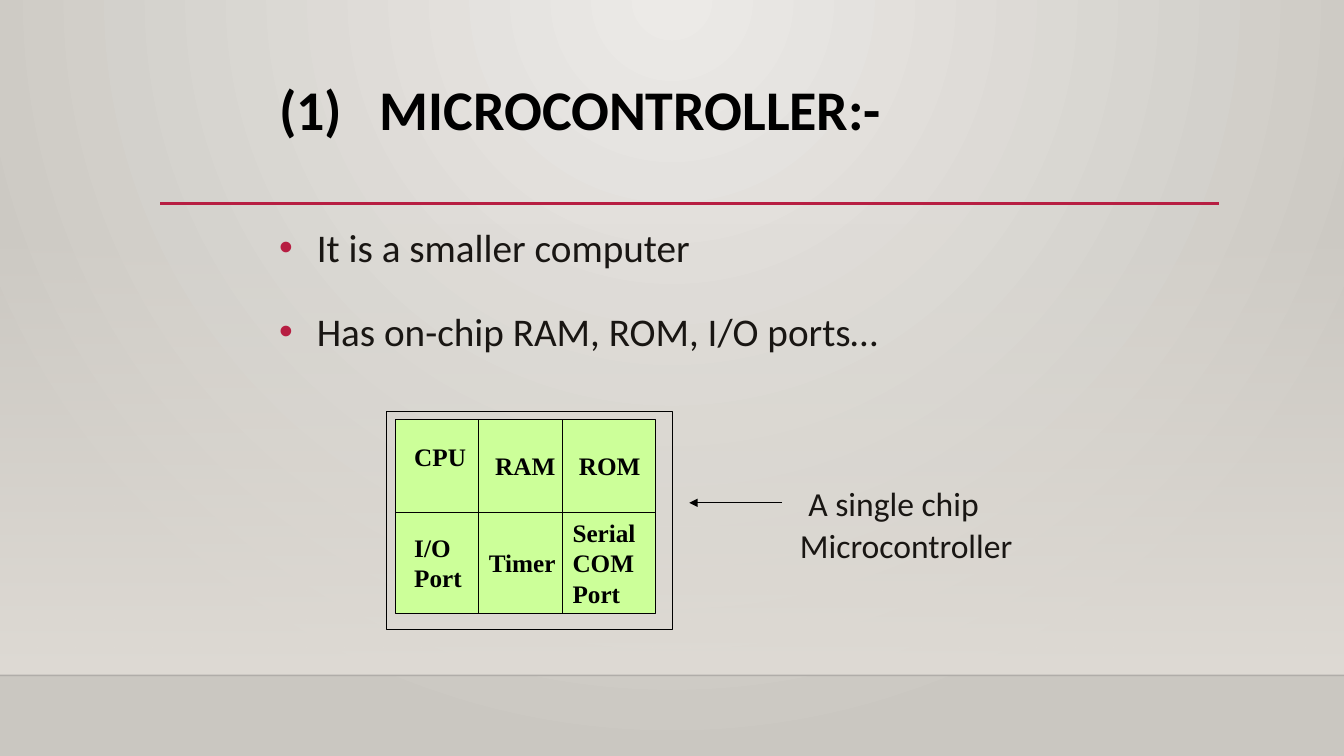
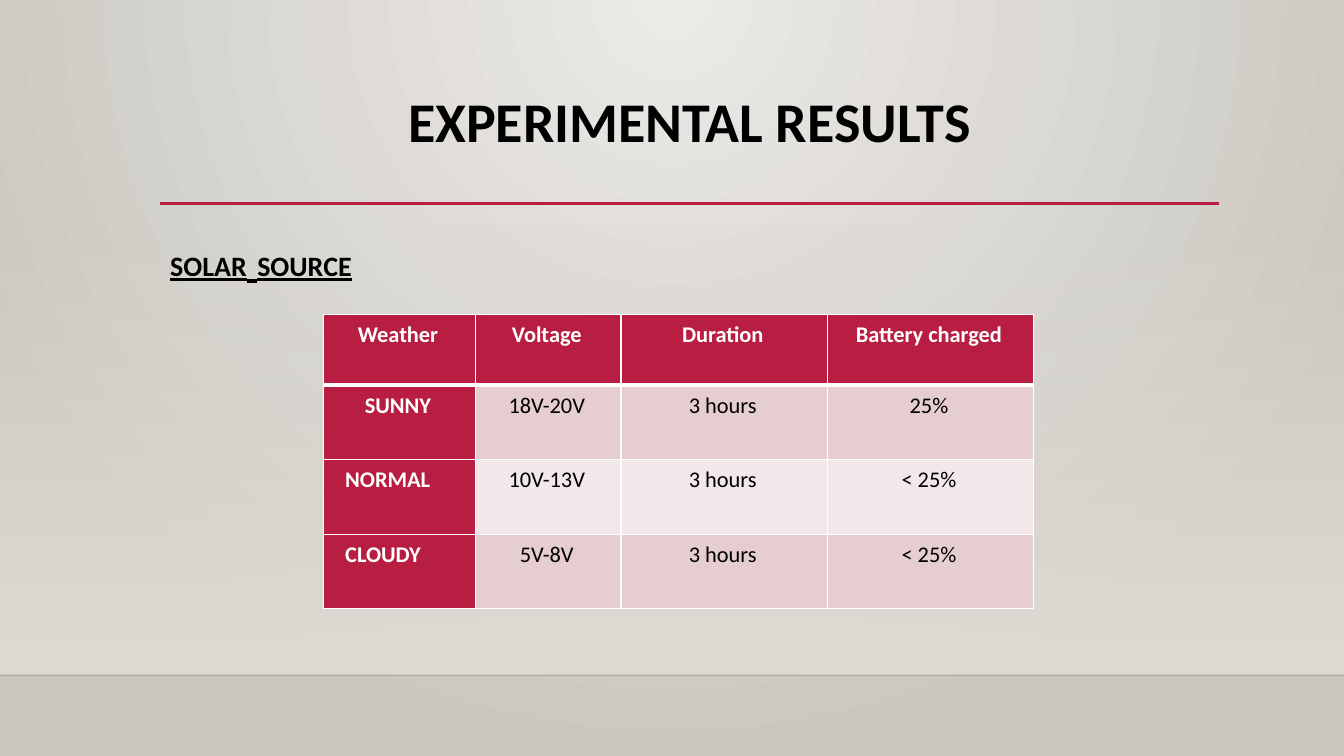
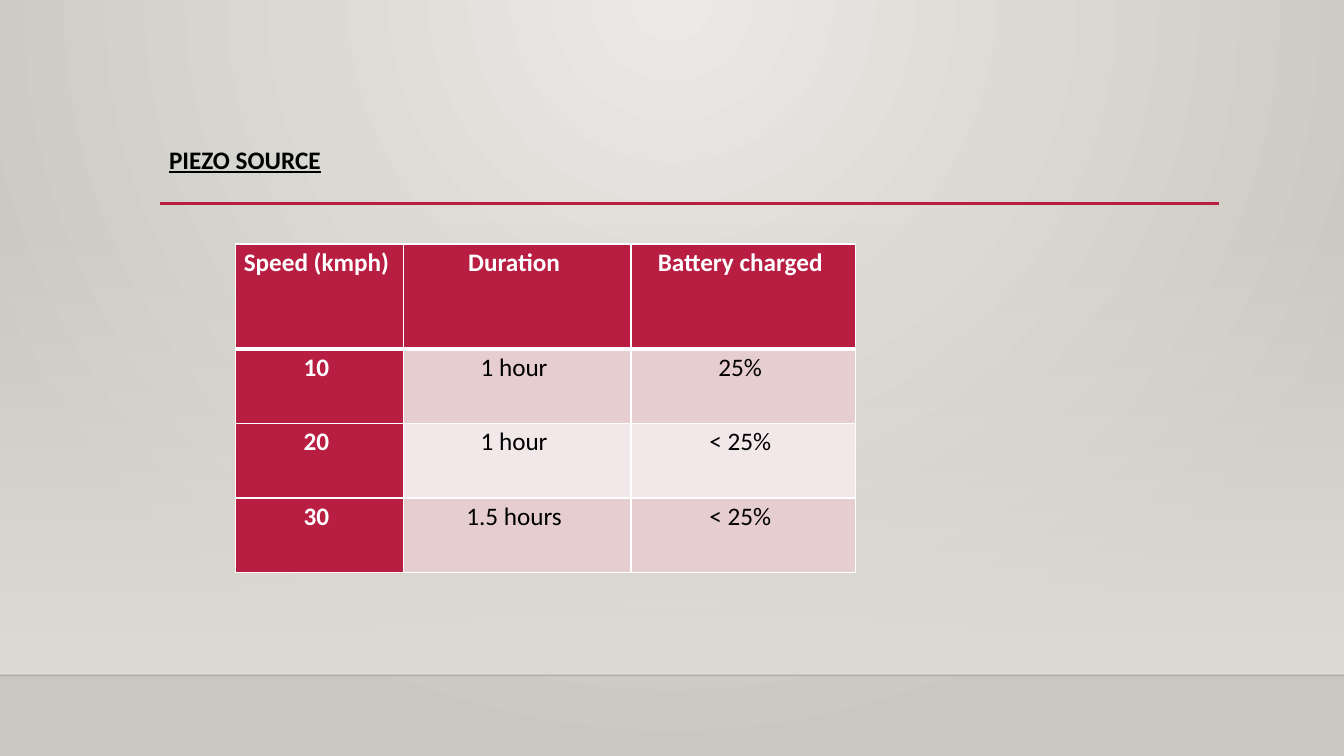
"""Builds three slides on a microcontroller and on solar and piezo charging results."""
from lxml.etree import SubElement
from pptx import Presentation
from pptx.dml.color import RGBColor
from pptx.enum.shapes import MSO_CONNECTOR as Connector, MSO_SHAPE as Shape
from pptx.enum.text import MSO_ANCHOR as Anchor, MSO_AUTO_SIZE as AutoSize, PP_ALIGN as Align
from pptx.oxml.ns import qn
from pptx.util import Cm, Pt

COLORS = {
    "light": "ECEAE7", "dark": "CAC7C1", "haze": "DFDBD5", "edge": "000001",
    "crimson": "B71E42", "black": "000000", "ink": "191613", "white": "FFFFFF",
    "chip": "CCFF99", "odd": "E6CDCF", "even": "F3E8E9",
}
SANS, SERIF = "Calibri", "Times New Roman"
WIDTH, HEIGHT, FLOOR = 33.87, 19.05, 17.02

BULLETS = ["It is a smaller computer", "Has on-chip RAM, ROM, I/O ports…"]
CHIP = {
    "frame": (9.75, 10.36, 7.2, 5.5), "left": 9.96, "top": 10.57,
    "widths": [2.11, 2.11, 2.34], "heights": [2.34, 2.54],
    "cells": [[("CPU", 0.48, 0.46), ("RAM", 0.41, 0), ("ROM", 0.41, 0)],
              [("I/O Port", 0.48, 0), ("Timer", 0.25, 0), ("Serial COM Port", 0.25, 0)]],
}
CAPTIONS = [("A single chip", (20.12, 12.04, 5.92, 1.27)),
            ("Microcontroller", (19.91, 13.11, 6.76, 1.27))]
SOLAR = {
    "at": (8.15, 7.92), "widths": [3.84, 3.66, 5.21, 5.18], "heights": [1.78] + [1.88] * 3,
    "insets": (0.2, 0.13, 0.28), "size": 16, "left_labels": {"NORMAL", "CLOUDY"},
    "rows": [["Weather", "Voltage", "Duration", "Battery charged"],
             ["SUNNY", "18V-20V", "3 hours", "25%"],
             ["NORMAL", "10V-13V", "3 hours", "< 25%"],
             ["CLOUDY", "5V-8V", "3 hours", "< 25%"]],
}
PIEZO = {
    "at": (5.94, 6.15), "widths": [4.22, 5.74, 5.66], "heights": [2.64] + [1.88] * 3,
    "insets": (0.13, 0.03, 0.28), "size": 18, "left_labels": set(),
    "rows": [["Speed (kmph)", "Duration", "Battery charged"],
             ["10", "1 hour", "25%"],
             ["20", "1 hour", "< 25%"],
             ["30", "1.5 hours", "< 25%"]],
}


def rgb(name):
    return RGBColor.from_string(COLORS[name])


def lengths(values):
    return [Cm(value) for value in values]


def add_run(para, text, size, color, font=SANS, bold=False, underline=False):
    span = para.add_run()
    span.text = text
    face = span.font
    face.name, face.size, face.bold = font, Pt(size), bold
    face.underline = underline
    face.color.rgb = rgb(color)


def set_alpha(color_element, percent):
    SubElement(color_element, qn("a:alpha")).set("val", str(percent * 1000))


def add_rect(page, at, fill=None, line=None):
    box = page.shapes.add_shape(Shape.RECTANGLE, *lengths(at))
    box.shadow.inherit = False
    if fill:
        box.fill.solid()
        box.fill.fore_color.rgb = rgb(fill)
    else:
        box.fill.background()
    if line:
        box.line.color.rgb = rgb(line)
        box.line.width = Pt(0.75)
    else:
        box.line.fill.background()
    return box


def add_line(page, ends, color, width):
    line = page.shapes.add_connector(Connector.STRAIGHT, *lengths(ends))
    line.line.color.rgb = rgb(color)
    line.line.width = Pt(width)
    SubElement(line._element.spPr, qn("a:effectLst"))
    return line


def color_gradient(fill, names):
    fill.gradient()
    for stop, name in zip(fill.gradient_stops, names):
        stop.color.rgb = rgb(name)


def style_master(master, page):
    color_gradient(master.background.fill, ["light", "dark"])
    gradient = next(master.element.iter(qn("a:gradFill")))
    gradient.remove(gradient.find(qn("a:lin")))
    path = SubElement(gradient, qn("a:path"), {"path": "circle"})
    SubElement(path, qn("a:fillToRect"), {"l": "43000", "t": "0", "r": "43000", "b": "100000"})

    haze = add_rect(page, (0, 5.61, WIDTH, FLOOR - 5.61))
    color_gradient(haze.fill, ["haze", "haze"])
    haze.fill.gradient_angle = 270
    set_alpha(next(haze._element.spPr.iter(qn("a:srgbClr"))), 0)
    edge = add_line(page, (0, FLOOR, WIDTH, FLOOR), "edge", 1)
    set_alpha(next(edge._element.spPr.iter(qn("a:srgbClr"))), 20)
    rule = add_line(page, (4.04, 5.13, 30.73, 5.13), "crimson", 2.5)
    for index, shape in enumerate([haze, edge, rule]):
        next(shape._element.iter(qn("p:cNvPr"))).set("id", str(100 + index))
        master.shapes._spTree.insert(2 + index, shape._element)


def place(box, at):
    box.left, box.top, box.width, box.height = lengths(at)
    frame = box.text_frame
    frame.word_wrap = True
    frame.auto_size = AutoSize.NONE
    frame.vertical_anchor = Anchor.TOP
    return frame


def set_title(page, text, at, align):
    para = place(page.shapes.title, at).paragraphs[0]
    tabs = SubElement(para._p.get_or_add_pPr(), qn("a:tabLst"))
    SubElement(tabs, qn("a:tab"), {"pos": str(Cm(2.54)), "algn": "l"})
    para.alignment = align
    para.line_spacing = 0.9
    add_run(para, text, 40, "black", bold=True)


def set_bullets(body, items, at):
    frame = place(body, at)
    for index, item in enumerate(items):
        para = frame.add_paragraph() if index else frame.paragraphs[0]
        props = para._p.get_or_add_pPr()
        props.set("marL", str(Cm(0.95)))
        props.set("indent", str(Cm(-0.95)))
        tint = SubElement(props, qn("a:buClr"))
        SubElement(tint, qn("a:srgbClr")).set("val", COLORS["crimson"])
        SubElement(props, qn("a:buFont")).set("typeface", "Arial")
        SubElement(props, qn("a:buChar")).set("char", "•")
        para.line_spacing = 1.5
        para.space_before = Pt(10 if index else 0)
        add_run(para, item, 28, "ink")


def add_text(page, at):
    box = page.shapes.add_textbox(*lengths(at))
    return place(box, at).paragraphs[0]


def add_chip(page):
    top = CHIP["top"]
    for height, cells in zip(CHIP["heights"], CHIP["cells"]):
        left = CHIP["left"]
        for width, (label, inset, lift) in zip(CHIP["widths"], cells):
            box = add_rect(page, (left, top, width, height), "chip", "black")
            frame = box.text_frame
            frame.word_wrap = True
            frame.vertical_anchor = Anchor.MIDDLE
            frame.margin_left, frame.margin_bottom = Cm(inset), Cm(lift)
            frame.margin_top = frame.margin_right = 0
            frame.paragraphs[0].alignment = Align.LEFT
            add_run(frame.paragraphs[0], label, 18, "black", SERIF, True)
            left += width
        top += height
    add_rect(page, CHIP["frame"], line="black")
    arrow = add_line(page, (19.71, 12.67, 17.37, 12.67), "black", 0.75)
    SubElement(arrow.line._ln, qn("a:tailEnd")).set("type", "triangle")
    for caption, at in CAPTIONS:
        add_run(add_text(page, at), caption, 24, "ink")


def set_borders(cell, row):
    thick = {"lnT": row == 1, "lnB": row == 0}
    for side in ("lnL", "lnR", "lnT", "lnB"):
        width = Pt(3 if thick.get(side) else 1)
        border = SubElement(cell._tc.get_or_add_tcPr(), qn("a:" + side), {"w": str(width)})
        paint = SubElement(border, qn("a:solidFill"))
        SubElement(paint, qn("a:srgbClr")).set("val", COLORS["white"])


def add_results(page, data):
    rows, widths, heights = data["rows"], data["widths"], data["heights"]
    size = (sum(widths), sum(heights))
    table = page.shapes.add_table(len(rows), len(widths), *lengths(data["at"] + size)).table
    for column, width in zip(table.columns, widths):
        column.width = Cm(width)
    for r, (row, height) in enumerate(zip(rows, heights)):
        table.rows[r].height = Cm(height)
        for c, text in enumerate(row):
            cell = table.cell(r, c)
            heading = r == 0 or c == 0
            to_left = text in data["left_labels"]
            set_borders(cell, r)
            cell.fill.solid()
            cell.fill.fore_color.rgb = rgb("crimson" if heading else "odd" if r % 2 else "even")
            cell.margin_left, cell.margin_top, cell.margin_right = lengths(data["insets"])
            cell.margin_bottom = 0
            if to_left:
                cell.margin_left = Cm(0.55)
            para = cell.text_frame.paragraphs[0]
            para.alignment = Align.LEFT if to_left else Align.CENTER
            para.line_spacing = 1.07
            add_run(para, text, data["size"], "white" if heading else "black", bold=heading)


def main():
    deck = Presentation()
    deck.slide_width, deck.slide_height = Cm(WIDTH), Cm(HEIGHT)
    chip_page, solar_page, piezo_page = [
        deck.slides.add_slide(deck.slide_layouts[index]) for index in (1, 5, 6)]
    style_master(deck.slide_master, chip_page)

    set_title(chip_page, "(1)\tMICROCONTROLLER:-", (6.78, 1.93, 24.77, 2.03), Align.LEFT)
    set_bullets(chip_page.placeholders[1], BULLETS, (6.78, 4.9, 22.86, 12.19))
    add_chip(chip_page)

    set_title(solar_page, "EXPERIMENTAL RESULTS", (4.04, 2.24, 26.67, 2.92), Align.CENTER)
    add_results(solar_page, SOLAR)
    heading = add_text(solar_page, (4.04, 5.72, 9.8, 1.63))
    for text, size in [("SOLAR", 20), (" ", 32), ("SOURCE", 20)]:
        add_run(heading, text, size, "black", bold=True, underline=True)

    add_results(piezo_page, PIEZO)
    heading = add_text(piezo_page, (4.01, 3.51, 6.43, 1.02))
    add_run(heading, "PIEZO SOURCE", 18, "black", bold=True, underline=True)
    deck.save("out.pptx")


if __name__ == "__main__":
    main()
